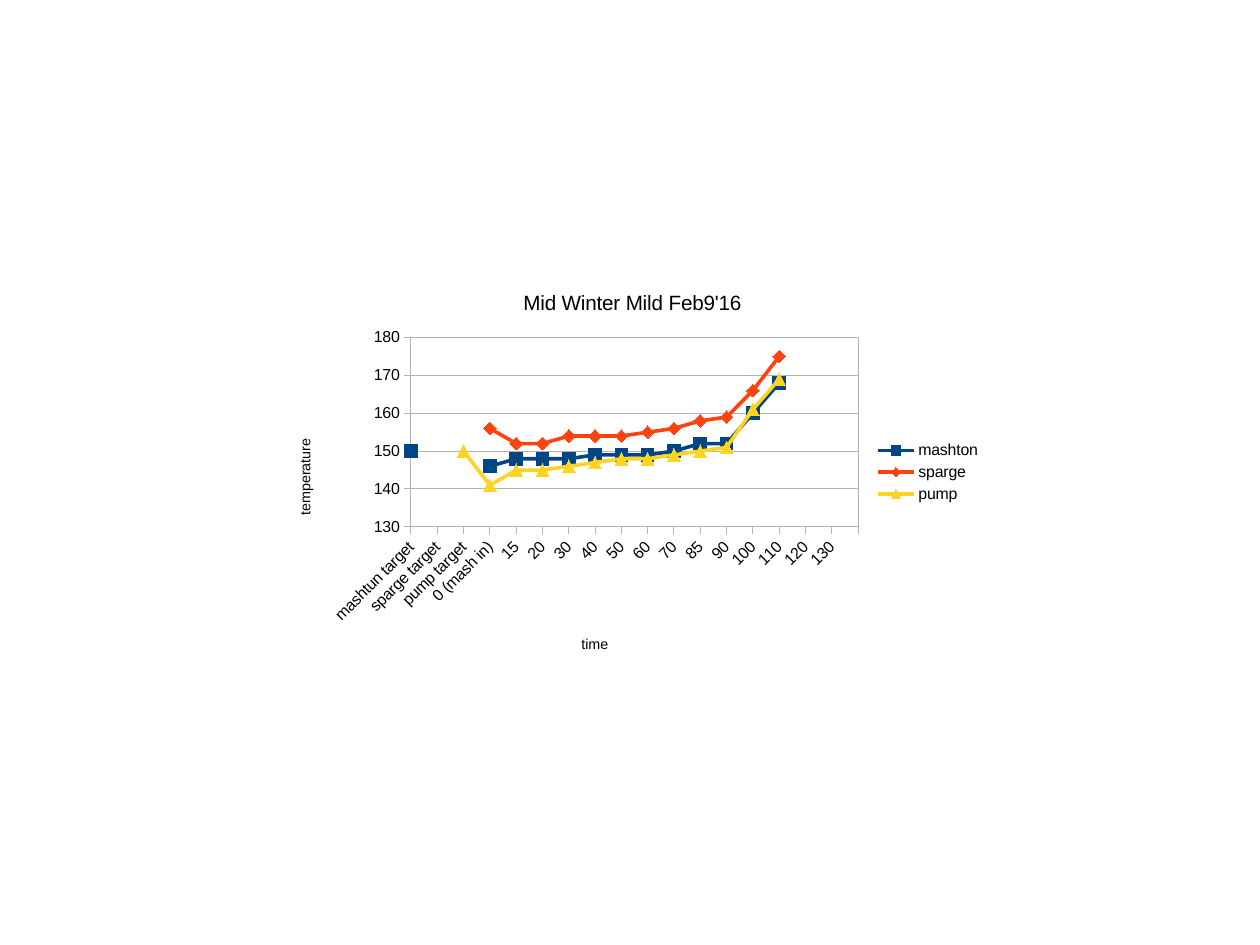
from lxml import etree
from pptx import Presentation
from pptx.chart.data import CategoryChartData
from pptx.dml.color import RGBColor
from pptx.enum.chart import XL_CHART_TYPE, XL_LEGEND_POSITION, XL_MARKER_STYLE, XL_TICK_MARK
from pptx.oxml.ns import qn
from pptx.util import Cm, Inches, Pt

LINE_MARKERS = XL_CHART_TYPE.LINE_MARKERS
RIGHT = XL_LEGEND_POSITION.RIGHT
OUTSIDE = XL_TICK_MARK.OUTSIDE
NO_TICK = XL_TICK_MARK.NONE
SQUARE = XL_MARKER_STYLE.SQUARE
DIAMOND = XL_MARKER_STYLE.DIAMOND
TRIANGLE = XL_MARKER_STYLE.TRIANGLE

BLACK = RGBColor(0x00, 0x00, 0x00)
GRAY = RGBColor(0xB3, 0xB3, 0xB3)
BLUE = RGBColor(0x00, 0x45, 0x86)
ORANGE = RGBColor(0xFF, 0x42, 0x0E)
YELLOW = RGBColor(0xFF, 0xD3, 0x20)

CHART_LEFT, CHART_TOP = Inches(2.38), Inches(2.38)
CHART_WIDTH, CHART_HEIGHT = Inches(6.3), Inches(3.54)

TIMES = ["mashtun target", "sparge target", "pump target", "0 (mash in)",
         "15", "20", "30", "40", "50", "60", "70", "85", "90",
         "100", "110", "120", "130", ""]
READINGS = {
    "mashton": [150, None, None, 146, 148, 148, 148, 149, 149,
                149, 150, 152, 152, 160, 168, None, None, None],
    "sparge": [None, 1, None, 156, 152, 152, 154, 154, 154,
               155, 156, 158, 159, 166, 175, None, None, None],
    "pump": [None, None, 150, 141, 145, 145, 146, 147, 148,
             148, 149, 150, 151, 161, 169, None, None, None],
}
LOOKS = [(BLUE, SQUARE), (ORANGE, DIAMOND), (YELLOW, TRIANGLE)]


def assign(target, values):
    for name, value in values.items():
        setattr(target, name, value)


class ChartPage:
    font_name = "Arial"
    line_width = Pt(2.27)
    hairline_width = Pt(0.01)
    marker_size = 8

    def __init__(self, page):
        self.page = page

    def style_font(self, font, size):
        assign(font, {"name": self.font_name, "size": Pt(size), "bold": False})
        font.color.rgb = BLACK

    def style_hairline(self, line):
        line.color.rgb = GRAY
        line.width = self.hairline_width

    def add_line_chart(self, categories, readings):
        data = CategoryChartData()
        data.categories = categories
        for name, values in readings.items():
            data.add_series(name, values)
        frame = self.page.shapes.add_chart(
            LINE_MARKERS, CHART_LEFT, CHART_TOP, CHART_WIDTH, CHART_HEIGHT, data)
        self.chart = frame.chart
        self.root = self.chart._chartSpace
        self.style_font(self.chart.font, 10)
        self.chart.plots[0].vary_by_categories = False

    def style_series(self, looks):
        for series, (color, marker_style) in zip(self.chart.plots[0].series, looks):
            series.smooth = False
            series.format.line.color.rgb = color
            series.format.line.width = self.line_width
            marker = series.marker
            assign(marker, {"style": marker_style, "size": self.marker_size})
            marker.format.fill.solid()
            marker.format.fill.fore_color.rgb = color
            marker.format.line.color.rgb = color

    def write_title(self, owner, title, text, size):
        owner.has_title = True
        para = title.text_frame.paragraphs[0]
        span = para.add_run()
        span.text = text
        self.style_font(span.font, size)

    def style_axis(self, axis, text, values):
        assign(axis, {"major_tick_mark": OUTSIDE, "minor_tick_mark": NO_TICK, **values})
        self.style_hairline(axis.format.line)
        self.style_font(axis.tick_labels.font, 10)
        self.write_title(axis, axis.axis_title, text, 9)
        if axis.has_major_gridlines:
            self.style_hairline(axis.major_gridlines.format.line)

    def add_legend(self):
        self.chart.has_legend = True
        legend = self.chart.legend
        assign(legend, {"position": RIGHT, "include_in_layout": False})
        self.style_font(legend.font, 10)

    def rotate(self, path, degrees):
        body = self.root.xpath(path)[0]
        body.set("rot", str(degrees * 60000))
        body.set("vert", "horz")

    def start_at_first_tick(self):
        axis = self.root.xpath(".//c:valAx")[0]
        for old in axis.findall(qn("c:crossBetween")):
            axis.remove(old)
        between = etree.Element(qn("c:crossBetween"), val="midCat")
        axis.find(qn("c:crosses")).addnext(between)

    def place(self, path, percents, inner=False):
        part = self.root.xpath(path)[0]
        for old in part.findall(qn("c:layout")):
            part.remove(old)
        layout = etree.Element(qn("c:layout"))
        manual = etree.SubElement(layout, qn("c:manualLayout"))
        if inner:
            etree.SubElement(manual, qn("c:layoutTarget"), val="inner")
        for mode in ("xMode", "yMode"):
            etree.SubElement(manual, qn(f"c:{mode}"), val="edge")
        for name, percent in zip("xywh", percents):
            etree.SubElement(manual, qn(f"c:{name}"), val=f"{percent / 100:.4f}")
        anchors = part.xpath("./c:tx | ./c:legendPos")
        if anchors:
            anchors[0].addnext(layout)
        else:
            part.insert(0, layout)

    def frame_plot(self):
        plot_area = self.root.xpath(".//c:plotArea")[0]
        style = etree.SubElement(plot_area, qn("c:spPr"))
        etree.SubElement(style, qn("a:noFill"))
        line = etree.SubElement(style, qn("a:ln"), w="0")
        fill = etree.SubElement(line, qn("a:solidFill"))
        etree.SubElement(fill, qn("a:srgbClr"), val=str(GRAY))


def main():
    deck = Presentation()
    deck.slide_width = Cm(28)
    deck.slide_height = Cm(21)
    page = ChartPage(deck.slides.add_slide(deck.slide_layouts[6]))
    page.add_line_chart(TIMES, READINGS)
    page.style_series(LOOKS)
    chart = page.chart
    page.write_title(chart, chart.chart_title, "Mid Winter Mild Feb9'16", 13)
    page.style_axis(chart.category_axis, "time", {"has_major_gridlines": False})
    page.style_axis(chart.value_axis, "temperature", {
        "minimum_scale": 130, "maximum_scale": 180, "major_unit": 10,
        "has_major_gridlines": True})
    page.add_legend()
    page.start_at_first_tick()
    page.rotate(".//c:catAx/c:txPr/a:bodyPr", -45)
    page.rotate(".//c:valAx/c:title//a:bodyPr", -90)
    page.frame_plot()
    page.place(".//c:plotArea", (19.3, 16.2, 62.1, 46.8), inner=True)
    page.place("./c:chart/c:title", (34.4, 3.5))
    page.place(".//c:catAx/c:title", (42.6, 89))
    page.place(".//c:valAx/c:title", (2.9, 40.5))
    page.place(".//c:legend", (83.6, 41, 15, 17))
    deck.save("out.pptx")


if __name__ == "__main__":
    main()
